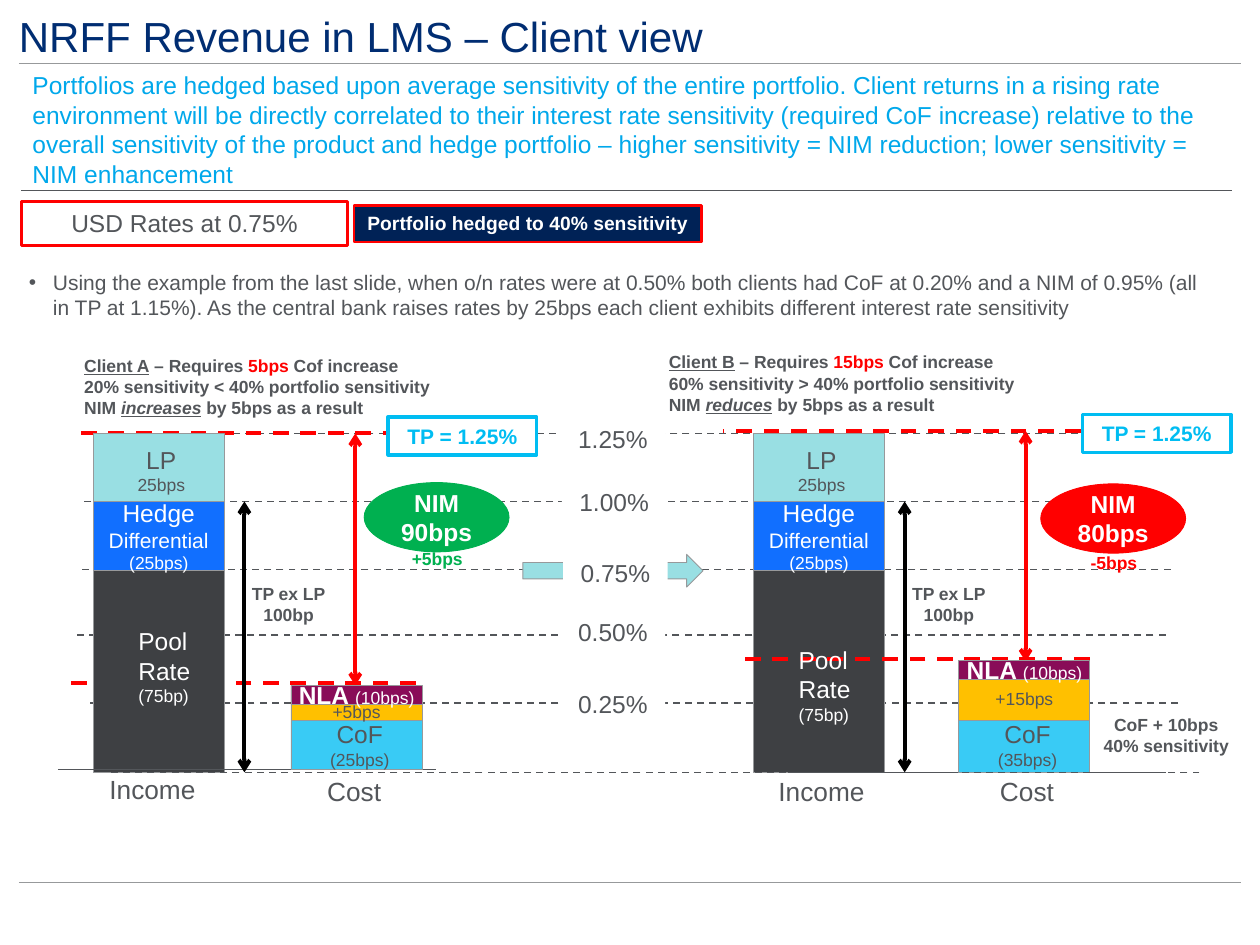
from lxml.etree import SubElement
from pptx import Presentation
from pptx.dml.color import RGBColor
from pptx.enum.dml import MSO_LINE
from pptx.enum.shapes import MSO_CONNECTOR, MSO_SHAPE
from pptx.enum.text import MSO_ANCHOR, MSO_AUTO_SIZE, PP_ALIGN
from pptx.oxml.ns import qn
from pptx.util import Inches, Pt

GREY, RULE, WHITE, BLACK = "53565A", "97999B", "FFFFFF", "000000"
RED, GREEN, AMBER, PLUM = "FF0000", "00B050", "FFC000", "890C58"
AQUA, BLUE, CHARCOAL, SKY, CYAN = "99DFE3", "116FFF", "3E4043", "39CBF5", "00BDF2"
NAVY = "002256"
BAR_WIDTH = 1.04
SMALL = {"size": 10}


def rgb(value):
    return RGBColor.from_string(value)


def format_run(run, formats):
    for name, value in formats.items():
        if name == "color":
            run.font.color.rgb = rgb(value)
        else:
            setattr(run.font, name, Pt(value) if name == "size" else value)


def write(frame, paragraphs, align=PP_ALIGN.CENTER, anchor=MSO_ANCHOR.TOP, **formats):
    """Fill a frame; each paragraph is a string or a list of (text, formats) runs."""
    frame.word_wrap = True
    frame.auto_size = MSO_AUTO_SIZE.NONE
    frame.vertical_anchor = anchor
    base = {"name": "Arial", "size": 14, "color": GREY, "bold": False, **formats}
    for index, runs in enumerate(paragraphs):
        paragraph = frame.paragraphs[0] if index == 0 else frame.add_paragraph()
        paragraph.alignment = align
        paragraph.space_before = Pt(0)
        for text, changes in [(runs, {})] if isinstance(runs, str) else runs:
            run = paragraph.add_run()
            run.text = text
            format_run(run, {**base, **changes})


def place(shape, left, top, width, height):
    shape.left, shape.top = Inches(left), Inches(top)
    shape.width, shape.height = Inches(width), Inches(height)


def label(slide, box, paragraphs, **formats):
    frame = slide.shapes.add_textbox(*map(Inches, box)).text_frame
    write(frame, paragraphs, **formats)
    return frame


def block(slide, box, fill=None, outline=RULE, width=0.5, kind=MSO_SHAPE.RECTANGLE):
    shape = slide.shapes.add_shape(kind, *map(Inches, box))
    shape.shadow.inherit = False
    if fill:
        shape.fill.solid()
        shape.fill.fore_color.rgb = rgb(fill)
    else:
        shape.fill.background()
    if outline:
        shape.line.color.rgb = rgb(outline)
        shape.line.width = Pt(width)
    else:
        shape.line.fill.background()
    return shape


def line(slide, start, end, color=GREY, width=0.5, dashed=False, arrows=False):
    connector = slide.shapes.add_connector(
        MSO_CONNECTOR.STRAIGHT, *map(Inches, (*start, *end)))
    connector.line.color.rgb = rgb(color)
    connector.line.width = Pt(width)
    if dashed:
        connector.line.dash_style = MSO_LINE.DASH
    properties = connector._element.spPr
    if arrows:
        for tip in ("a:headEnd", "a:tailEnd"):
            SubElement(properties.find(qn("a:ln")), qn(tip), type="arrow")
    SubElement(properties, qn("a:effectLst"))


def add_heading(slide):
    title, body = slide.placeholders
    place(title, 0.15, 0.07, 9.69, 0.41)
    frame = title.text_frame
    for side in ("left", "top", "right", "bottom"):
        setattr(frame, f"margin_{side}", 0)
    write(frame, ["NRFF Revenue in LMS – Client view"], PP_ALIGN.LEFT,
          MSO_ANCHOR.BOTTOM, size=24, color="002D72")

    intro = label(slide, (0.16, 0.51, 9.64, 0.69), [
        "Portfolios are hedged based upon average sensitivity of the entire portfolio. "
        "Client returns in a rising rate environment will be directly correlated to their "
        "interest rate sensitivity (required CoF increase) relative to the overall "
        "sensitivity of the product and hedge portfolio – higher sensitivity = NIM "
        "reduction; lower sensitivity = NIM enhancement"],
        align=PP_ALIGN.LEFT, color="00A8EB")
    intro.paragraphs[0].space_before = Pt(3)

    place(body, 0.13, 2.09, 9.61, 0.5)
    write(body.text_frame, [
        "Using the example from the last slide, when o/n rates were at 0.50% both clients "
        "had CoF at 0.20% and a NIM of 0.95% (all in TP at 1.15%). As the central bank "
        "raises rates by 25bps each client exhibits different interest rate sensitivity"],
        PP_ALIGN.LEFT, size=12)
    bullet = body.text_frame.paragraphs[0]._p.get_or_add_pPr()
    for name, inches in (("marL", 0.19), ("indent", -0.19)):
        bullet.set(name, str(Inches(inches)))
    SubElement(bullet, qn("a:buChar"), char="•")

    for y in (0.5, 7):
        line(slide, (0.15, y), (9.85, y), RULE)
    line(slide, (0.17, 1.51), (9.78, 1.51))

    rates = block(slide, (0.17, 1.6, 2.59, 0.35), None, RED, 1.5)
    write(rates.text_frame, ["USD Rates at 0.75%"])
    hedge = block(slide, (2.81, 1.63, 2.76, 0.29), NAVY, RED, 1.5)
    write(hedge.text_frame, ["Portfolio hedged to 40% sensitivity"],
          size=11, color=WHITE, bold=True)


def add_rate_grid(slide):
    for left, y in ((0.65, 3.44), (0.63, 3.98), (0.61, 4.52), (0.57, 5.04), (0.67, 5.58)):
        line(slide, (left + 8.68, y), (left, y), width=1, dashed=True)
    block(slide, (4.15, 4.4, 1.43, 0.26), AQUA, kind=MSO_SHAPE.RIGHT_ARROW)
    for rate, left, top in (("0.25%", 4.45, 5.42), ("0.50%", 4.45, 4.85),
                            ("0.75%", 4.47, 4.38), ("1.00%", 4.46, 3.82),
                            ("1.25%", 4.45, 3.32)):
        write(block(slide, (left, top, 0.83, 0.34), WHITE, None).text_frame, [rate])


def add_income_bar(slide, left):
    for top, height, fill in ((3.44, 0.54, AQUA), (3.98, 0.55, BLUE), (4.53, 1.6, CHARCOAL)):
        block(slide, (left, top, BAR_WIDTH, height), fill)


def add_income_labels(slide, left, pool_top):
    label(slide, (left, 3.9, BAR_WIDTH, 0.71),
          ["Hedge", [("Differential", {"size": 12})], [("(25bps)", SMALL)]], color=WHITE)
    label(slide, (left + 0.21, 3.48, 0.66, 0.5), ["LP", [("25bps", SMALL)]])
    label(slide, (left + 0.26, pool_top, 0.66, 0.74),
          [[("Pool Rate ", {}), ("(75bp)", SMALL)]], align=PP_ALIGN.LEFT, color=WHITE)
    line(slide, (left + 1.2, 3.98), (left + 1.2, 6.13), BLACK, 2.25, arrows=True)
    label(slide, (left + 1.04, 4.58, 1.02, 0.44), ["TP ex LP", "100bp"], size=10, bold=True)


def add_nim_span(slide, top_line, bottom_line, arrow_x):
    """Red dashed levels, each (left, right, y), joined by the NIM arrow."""
    for left, right, y in (top_line, bottom_line):
        line(slide, (right, y), (left, y), RED, 2.25, dashed=True)
    line(slide, (arrow_x, top_line[2]), (arrow_x, bottom_line[2] + 0.02), RED, 2.25, arrows=True)


def add_cost_bar(slide, left, bottom, nla_top, rise_top, rise, cost):
    block(slide, (left, 5.72, BAR_WIDTH, bottom - 5.72), SKY)
    label(slide, (left + 0.1, 5.66, 0.89, 0.5), ["CoF", [(cost, SMALL)]])
    for top, end, fill, runs, color in (
            (rise_top, 5.72, AMBER, [(rise, SMALL)], GREY),
            (nla_top, nla_top + 0.15, PLUM,
             [("NLA ", {"bold": True}), ("(10bps)", SMALL)], WHITE)):
        layer = block(slide, (left, top, BAR_WIDTH, end - top), fill)
        write(layer.text_frame, [runs], anchor=MSO_ANCHOR.MIDDLE, color=color)
        layer.text_frame.word_wrap = False


def add_nim_result(slide, left, top, nim, change, change_top, color):
    oval = block(slide, (left, top, 1.15, 0.55), color, color, kind=MSO_SHAPE.OVAL)
    write(oval.text_frame, ["NIM", nim], anchor=MSO_ANCHOR.MIDDLE, color=WHITE, bold=True)
    oval.text_frame.word_wrap = False
    label(slide, (left + 0.07, change_top, 1.02, 0.27), [change],
          size=10, color=color, bold=True)


def add_transfer_price(slide, left, top):
    price = block(slide, (left, top, 1.18, 0.3), WHITE, CYAN, 2)
    write(price.text_frame, ["TP = 1.25%"], size=12, color=CYAN, bold=True)


def add_client_note(slide, left, top, client, increase, sensitivity, effect):
    label(slide, (left, top, 4.21, 0.61), [
        [(client, {"underline": True}), (" – Requires ", {}),
         (increase, {"color": RED}), (" Cof increase", {})],
        f"{sensitivity} 40% portfolio sensitivity",
        [("NIM ", {}), (effect, {"italic": True, "underline": True}),
         (" by 5bps as a result", {})]],
        align=PP_ALIGN.LEFT, size=10, bold=True)


def main():
    deck = Presentation()
    deck.slide_width, deck.slide_height = Inches(10), Inches(7.5)
    slide = deck.slides.add_slide(deck.slide_layouts[1])
    add_heading(slide)
    add_rate_grid(slide)

    add_nim_span(slide, (0.55, 3.38, 3.44), (0.55, 3.3, 5.42), 2.82)
    add_income_bar(slide, 0.74)
    add_income_bar(slide, 5.98)
    add_nim_span(slide, (5.74, 8.58, 3.42), (5.85, 8.65, 5.23), 8.14)
    for left, y in ((0.46, 6.11), (6.25, 6.13)):
        line(slide, (left, y), (left + 3, y))
    add_cost_bar(slide, 2.31, 6.11, 5.44, 5.58, "+5bps", "(25bps)")
    add_cost_bar(slide, 7.61, 6.13, 5.24, 5.37, "+15bps", "(35bps)")
    line(slide, (9.52, 6.13), (0.84, 6.13), width=1, dashed=True)
    add_income_labels(slide, 0.74, 4.92)
    add_income_labels(slide, 5.98, 5.07)
    for name, left, top in (("Income", 0.7, 6.09), ("Cost", 2.3, 6.1),
                            ("Income", 6.01, 6.1), ("Cost", 7.64, 6.1)):
        label(slide, (left, top, 1.02, 0.35), [name], size=15)

    add_nim_result(slide, 2.89, 3.83, "90bps", "+5bps", 4.3, GREEN)
    add_nim_result(slide, 8.26, 3.84, "80bps", "-5bps", 4.33, RED)
    add_transfer_price(slide, 3.08, 3.31)
    add_transfer_price(slide, 8.59, 3.29)
    add_client_note(slide, 0.57, 2.77, "Client A", "5bps", "20% sensitivity <", "increases")
    add_client_note(slide, 5.21, 2.74, "Client B", "15bps", "60% sensitivity >", "reduces")
    label(slide, (8.65, 5.62, 1.21, 0.44), ["CoF + 10bps 40% sensitivity"], size=10, bold=True)
    deck.save("out.pptx")


if __name__ == "__main__":
    main()
